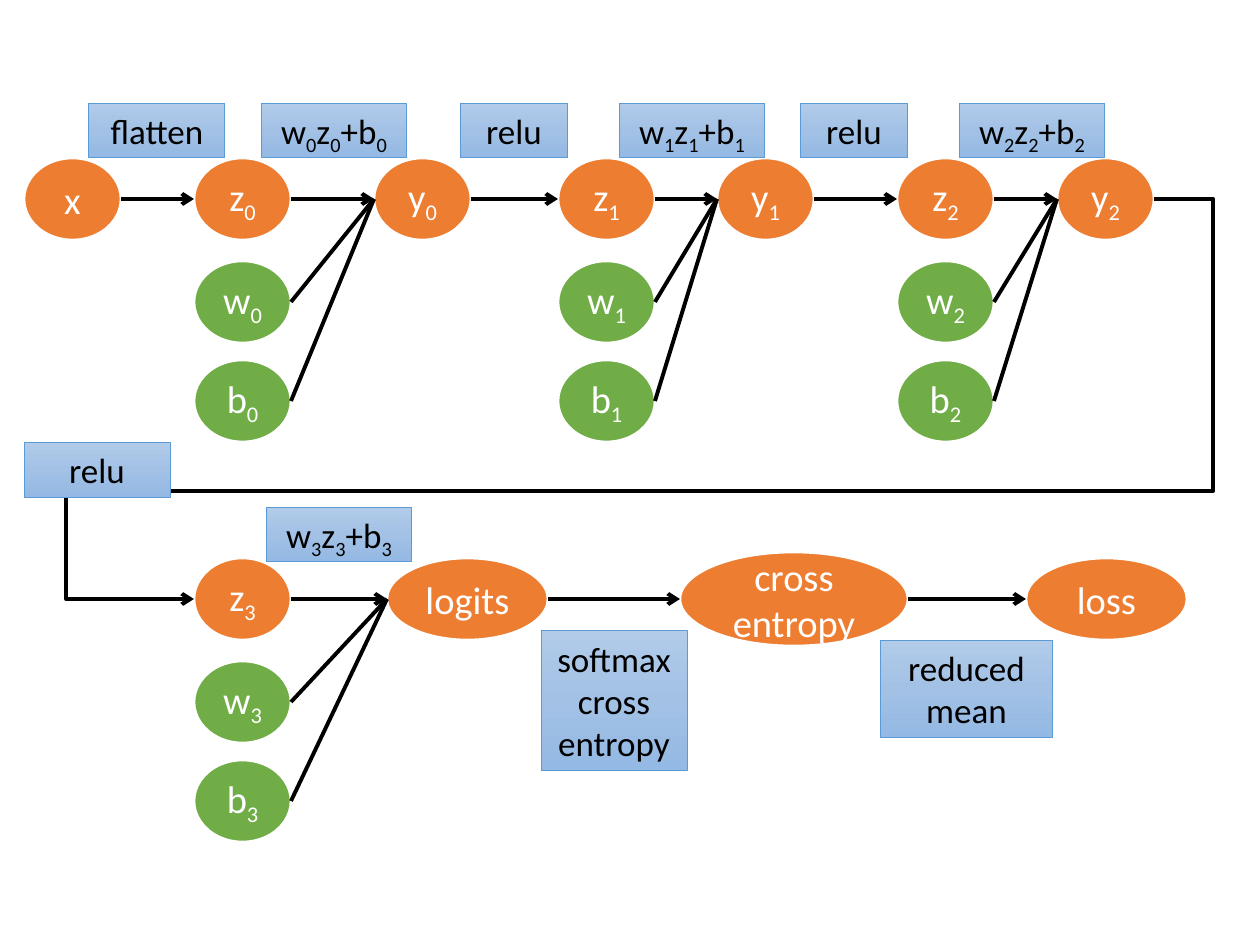
from copy import deepcopy
from dataclasses import dataclass
from itertools import groupby

from lxml.etree import SubElement
from pptx import Presentation
from pptx.dml.color import RGBColor
from pptx.enum.shapes import MSO_CONNECTOR as Connector, MSO_SHAPE as Preset
from pptx.enum.text import MSO_ANCHOR as Anchor, MSO_AUTO_SIZE as AutoSize, PP_ALIGN as Align
from pptx.oxml.ns import qn
from pptx.util import Emu, Pt

PX_PER_INCH = 126


def px(length: int) -> Emu:
    return Emu(round(length * 914400 / PX_PER_INCH))


@dataclass(frozen=True)
class Theme:
    font: str = "Calibri"
    value: str = "ED7D31"
    parameter: str = "70AD47"
    node_text: str = "FFFFFF"
    ink: str = "000000"
    label_line: str = "5B9BD5"
    label_fill: tuple[str, ...] = ("B1CBE9", "A3C1E5", "93B9E4")
    node_size: int = 22
    label_size: int = 20


THEME = Theme()


@dataclass(frozen=True)
class Node:
    text: str
    left: int
    top: int
    width: int = 97
    height: int = 82
    color: str = THEME.value

    @property
    def middle(self) -> int:
        return self.top + self.height // 2

    @property
    def entry(self) -> tuple[int, int]:
        return self.left, self.middle

    @property
    def exit(self) -> tuple[int, int]:
        return self.left + self.width, self.middle


@dataclass(frozen=True)
class Label:
    text: str
    left: int
    top: int
    width: int
    height: int = 55


@dataclass(frozen=True)
class Layer:
    """A step w·z + b: its input z, the parameters below it, and its output."""
    index: int
    left: int
    output: Node
    label_left: int
    label_top: int

    @property
    def input(self) -> Node:
        return Node(f"z{self.index}", self.left, self.output.top)

    @property
    def parameters(self) -> list[Node]:
        return [Node(f"{name}{self.index}", self.left, self.output.top + drop, color=THEME.parameter)
                for name, drop in (("w", 103), ("b", 202))]

    @property
    def label(self) -> Label:
        i = self.index
        return Label(f"w{i}z{i}+b{i}", self.label_left, self.label_top, 146)


TOP, BOTTOM, LABEL_TOP = 158, 558, 103
X = Node("x", 24, TOP)
LAYERS = [
    Layer(0, 194, Node("y0", 374, TOP), 261, LABEL_TOP),
    Layer(1, 558, Node("y1", 717, TOP), 619, LABEL_TOP),
    Layer(2, 897, Node("y2", 1057, TOP), 959, LABEL_TOP),
    Layer(3, 194, Node("logits", 387, BOTTOM, 161), 266, 507),
]
CROSS_ENTROPY = Node("cross\nentropy", 680, 552, 228, 94)
LOSS = Node("loss", 1026, BOTTOM, 161)
LABELS = [
    Label("flatten", 89, LABEL_TOP, 136),
    Label("relu", 460, LABEL_TOP, 108),
    Label("relu", 800, LABEL_TOP, 108),
    Label("relu", 24, 442, 146),
    Label("softmax cross entropy", 541, 631, 146, 140),
    Label("reduced\nmean", 880, 640, 173, 97),
]


def rgb(color: str) -> RGBColor:
    return RGBColor.from_string(color)


def write_text(frame, text: str, size: int, color: str) -> None:
    """Write centred lines, with every digit as a subscript."""
    frame.word_wrap = True
    for number, line in enumerate(text.split("\n")):
        paragraph = frame.add_paragraph() if number else frame.paragraphs[0]
        paragraph.alignment = Align.CENTER
        paragraph.font.name = THEME.font
        paragraph.font.size = Pt(size)
        paragraph.font.color.rgb = rgb(color)
        for is_subscript, characters in groupby(line, str.isdigit):
            run = paragraph.add_run()
            run.text = "".join(characters)
            if is_subscript:
                run.font._element.set("baseline", "-25000")


def add_box(slide, preset: Preset, item: Node | Label, line_color: str, line_width: float):
    shape = slide.shapes.add_shape(preset, px(item.left), px(item.top), px(item.width), px(item.height))
    shape.shadow.inherit = False
    shape.line.color.rgb = rgb(line_color)
    shape.line.width = Pt(line_width)
    return shape


def draw_node(slide, node: Node) -> None:
    shape = add_box(slide, Preset.OVAL, node, THEME.node_text, 1.5)
    shape.fill.solid()
    shape.fill.fore_color.rgb = rgb(node.color)
    shape.text_frame.vertical_anchor = Anchor.MIDDLE
    write_text(shape.text_frame, node.text, THEME.node_size, THEME.node_text)


def draw_label(slide, label: Label) -> None:
    shape = add_box(slide, Preset.RECTANGLE, label, THEME.label_line, 0.5)
    shape.fill.gradient()
    shape.fill.gradient_angle = 270
    first_stop = shape._element.spPr.find(".//" + qn("a:gs"))
    first_stop.addnext(deepcopy(first_stop))
    for stop, position, color in zip(shape.fill.gradient_stops, (0, 0.5, 1), THEME.label_fill):
        stop.position = position
        stop.color.rgb = rgb(color)
    shape.text_frame.vertical_anchor = Anchor.TOP
    shape.text_frame.auto_size = AutoSize.SHAPE_TO_FIT_TEXT
    write_text(shape.text_frame, label.text, THEME.label_size, THEME.ink)


def draw_line(slide, start: tuple[int, int], end: tuple[int, int], arrow: bool = True,
              kind: Connector = Connector.STRAIGHT):
    connector = slide.shapes.add_connector(kind, *map(px, start + end))
    connector.line.color.rgb = rgb(THEME.ink)
    connector.line.width = Pt(2.25)
    if arrow:
        SubElement(connector.line._get_or_add_ln(), qn("a:tailEnd"), type="arrow")
    SubElement(connector._element.spPr, qn("a:effectLst"))
    return connector


def draw_return(slide, start: tuple[int, int], end: tuple[int, int]) -> None:
    """Lead the end of the upper row round to the start of the lower one."""
    connector = draw_line(slide, start, end, kind=Connector.ELBOW)
    geometry = connector._element.spPr.find(qn("a:prstGeom"))
    geometry.set("prst", "bentConnector5")
    guides = geometry.find(qn("a:avLst"))
    for number, value in enumerate((-6200, 73000, 113300), start=1):
        SubElement(guides, qn("a:gd"), name=f"adj{number}", fmla=f"val {value}")


def main() -> None:
    presentation = Presentation()
    presentation.slide_width, presentation.slide_height = px(1260), px(945)
    slide = presentation.slides.add_slide(presentation.slide_layouts[6])

    main_path = [X]
    for layer in LAYERS:
        main_path += [layer.input, layer.output]
    main_path += [CROSS_ENTROPY, LOSS]
    parameters = [node for layer in LAYERS for node in layer.parameters]

    for node in main_path + parameters:
        draw_node(slide, node)
    for source, target in zip(main_path, main_path[1:]):
        draw = draw_line if source.left < target.left else draw_return
        draw(slide, source.exit, target.entry)
    for layer in LAYERS:
        for parameter in layer.parameters:
            draw_line(slide, parameter.exit, layer.output.entry, arrow=False)
    for label in LABELS + [layer.label for layer in LAYERS]:
        draw_label(slide, label)

    presentation.save("out.pptx")


if __name__ == "__main__":
    main()
